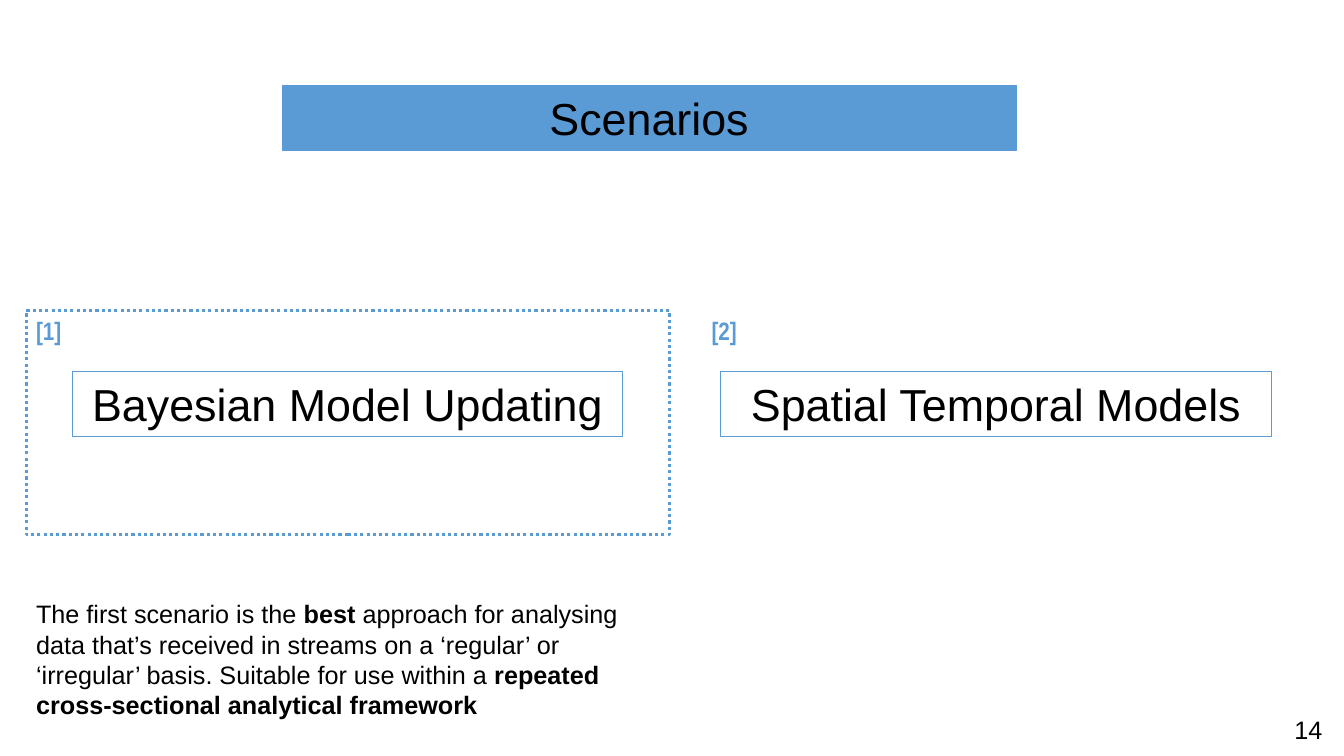
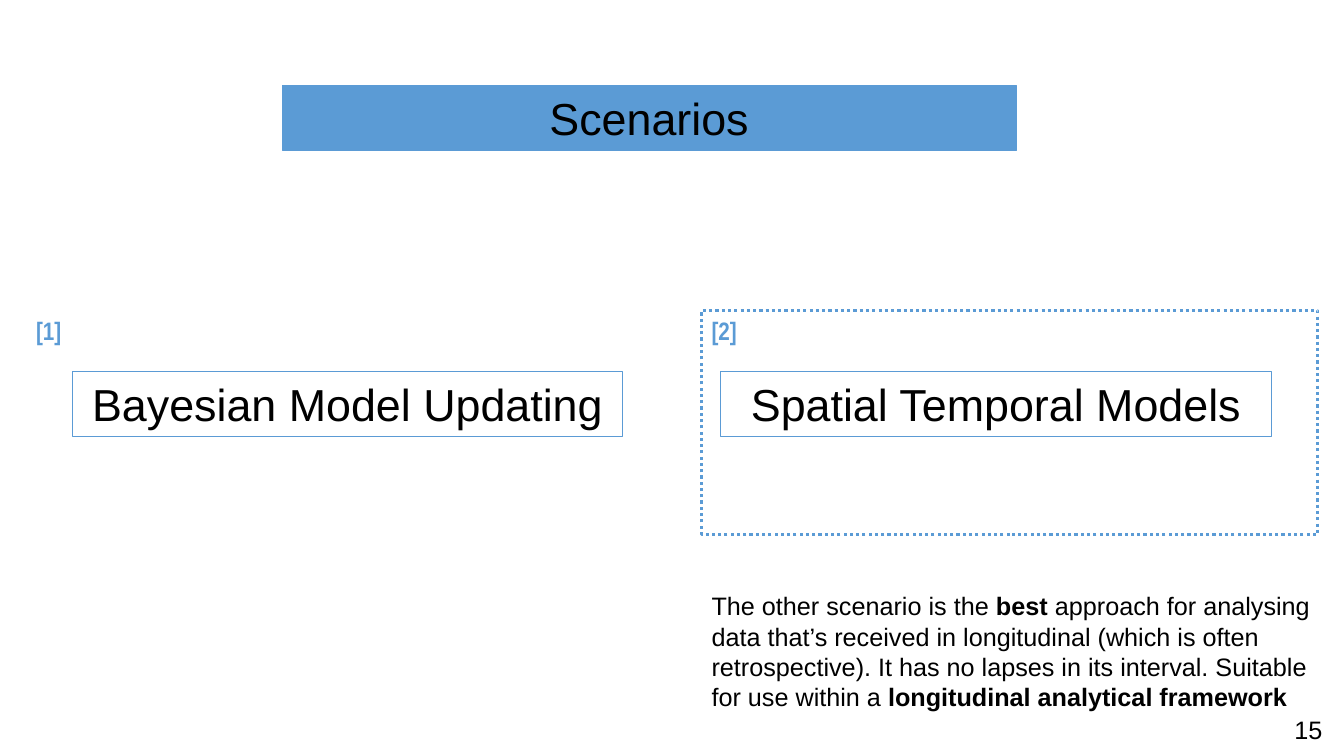
from pptx import Presentation
from pptx.dml.color import RGBColor
from pptx.enum.dml import MSO_LINE
from pptx.enum.shapes import MSO_SHAPE
from pptx.enum.text import MSO_ANCHOR, PP_ALIGN
from pptx.util import Inches, Pt

WIDE, HIGH = Inches(13.33), Inches(7.5)
HUES = {"blue": "5B9BD5", "ink": "000000"}
BAR = (21, 11.33, 54.61, 8.53)
TOP, TALL = 41.07, 29.6
PAGE = (95.57, 93.87, 4.43, 2.13)
PLANS = [
    {"mark": "[1]", "name": "Bayesian Model Updating",
     "left": 1.95, "wide": 47.86, "box": 5.4, "note": (78.53, 48.01),
     "parts": ["The first scenario is the ", "best",
               " approach for analysing data that’s received in streams on a "
               "‘regular’ or ‘irregular’ basis. Suitable for use within a ",
               "repeated cross-sectional analytical framework"]},
    {"mark": "[2]", "name": "Spatial Temporal Models",
     "left": 52.21, "wide": 45.84, "box": 53.64, "note": (77.47, 46.89),
     "parts": ["The other scenario is the ", "best",
               " approach for analysing data that’s received in longitudinal "
               "(which is often retrospective). It has no lapses in its "
               "interval. Suitable for use within a ",
               "longitudinal analytical framework"]},
]


def hue(key):
    """Return a named colour."""
    return RGBColor.from_string(HUES[key])


def place(area):
    """Turn percent shares of the slide into lengths."""
    x, y, w, h = area
    return [round(part * side / 100) for part, side in
            ((x, WIDE), (y, HIGH), (w, WIDE), (h, HIGH))]


def write(shape, parts, size=18, face="Arial", tint="ink", align=PP_ALIGN.LEFT):
    """Write text parts into a shape, every second one bold."""
    frame = shape.text_frame
    frame.word_wrap = True
    frame.vertical_anchor = MSO_ANCHOR.TOP
    para = frame.paragraphs[0]
    para.alignment = align
    for i, part in enumerate(parts):
        run = para.add_run()
        run.text = part
        font = run.font
        font.size, font.name, font.bold = Pt(size), face, i % 2 == 1
        font.color.rgb = hue(tint)


def label(slide, area, parts):
    """Add a plain text box."""
    write(slide.shapes.add_textbox(*place(area)), parts)


def panel(slide, area, width=0.75, fill=False):
    """Add a blue-edged rectangle."""
    shape = slide.shapes.add_shape(MSO_SHAPE.RECTANGLE, *place(area))
    shape.shadow.inherit = False
    if fill:
        shape.fill.solid()
        shape.fill.fore_color.rgb = hue("blue")
    else:
        shape.fill.background()
    shape.line.color.rgb = hue("blue")
    shape.line.width = Pt(width)
    return shape


def head(slide, area, text, fill=False):
    """Add a rectangle with a large centred heading."""
    write(panel(slide, area, fill=fill), [text], 32, align=PP_ALIGN.CENTER)


def zone(slide, plan, live):
    """Add a numbered zone, with a dotted edge when live."""
    area = (plan["left"], TOP, plan["wide"], TALL)
    if live:
        shape = panel(slide, area, 2.25)
        shape.line.dash_style = MSO_LINE.ROUND_DOT
    else:
        shape = slide.shapes.add_textbox(*place(area))
    write(shape, [plan["mark"]], face="Arial Narrow", tint="blue")
    shape.text_frame.paragraphs[0].runs[0].font.bold = True


def build(deck, pick, page):
    """Build one slide that points out the picked plan."""
    slide = deck.slides.add_slide(deck.slide_layouts[6])
    for plan in PLANS:
        zone(slide, plan, plan is pick)
    head(slide, BAR, "Scenarios", fill=True)
    for plan in PLANS:
        head(slide, (plan["box"], 49.2, 40.96, 8.53), plan["name"])
    top, wide = pick["note"]
    label(slide, (pick["left"], top, wide, 17.47), pick["parts"])
    label(slide, PAGE, [str(page)])


def main():
    """Build and save the deck."""
    deck = Presentation()
    deck.slide_width, deck.slide_height = WIDE, HIGH
    for page, plan in enumerate(PLANS, 14):
        build(deck, plan, page)
    deck.save("out.pptx")


if __name__ == "__main__":
    main()
